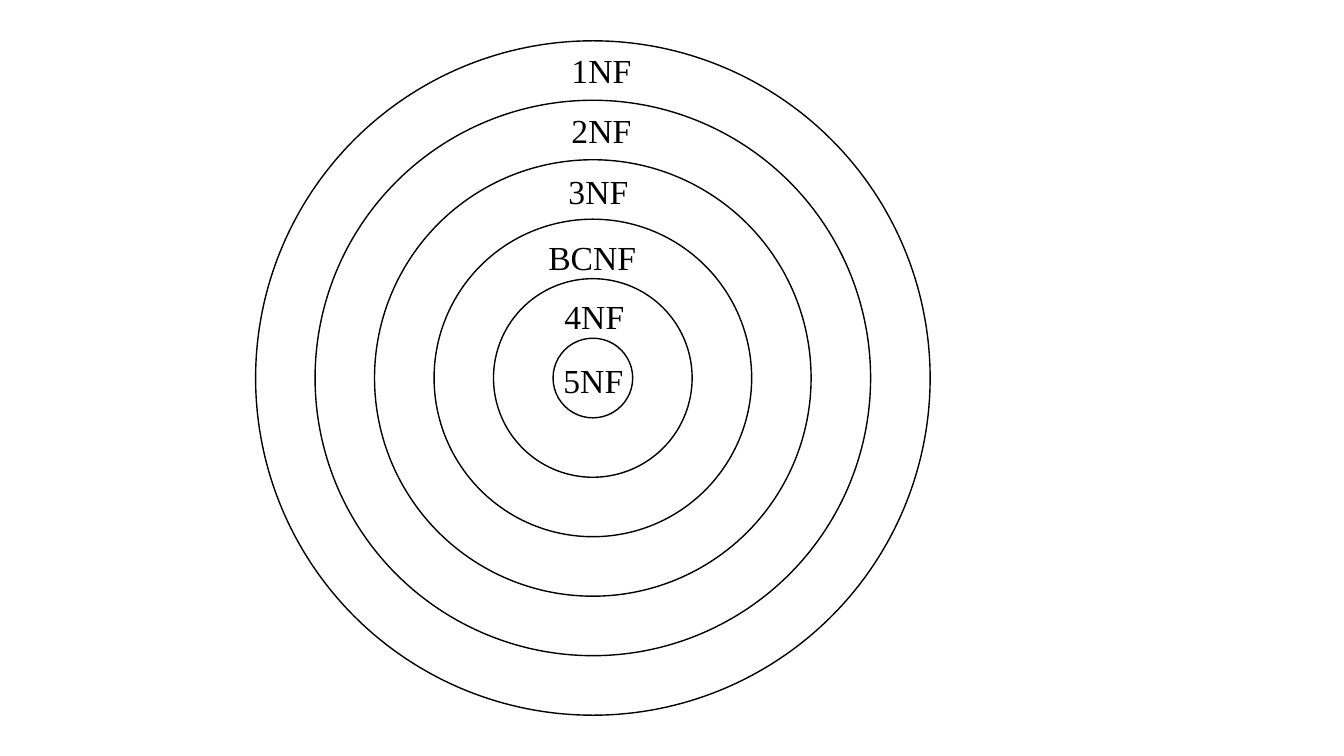
"""Build a slide of nested circles showing the database normal forms."""
from pptx import Presentation
from pptx.dml.color import RGBColor
from pptx.enum.shapes import MSO_SHAPE as Preset
from pptx.enum.text import MSO_AUTO_SIZE as AutoSize
from pptx.util import Inches, Pt

NORMAL_FORMS = [
    ("1NF", 5.57, 0.45),
    ("2NF", 5.57, 1.04),
    ("3NF", 5.54, 1.65),
    ("BCNF", 5.34, 2.3),
    ("4NF", 5.5, 2.89),
    ("5NF", 5.49, 3.52),
]
CENTER_X, CENTER_Y = 5.88, 3.75
OUTER_DIAMETER, DIAMETER_STEP = 6.69, 1.18
LABEL_WIDTH, LABEL_HEIGHT = 1.14, 0.5
INK = "000000"


def color(value):
    return RGBColor.from_string(value)


def add_ring(page, diameter, line=INK, weight=1):
    left, top = CENTER_X - diameter / 2, CENTER_Y - diameter / 2
    ring = page.shapes.add_shape(
        Preset.OVAL, Inches(left), Inches(top), Inches(diameter), Inches(diameter))
    ring.shadow.inherit = False
    ring.fill.background()
    ring.line.color.rgb = color(line)
    ring.line.width = Pt(weight)


def add_label(page, text, left, top, size=24, font="Times New Roman", ink=INK):
    box = page.shapes.add_textbox(
        Inches(left), Inches(top), Inches(LABEL_WIDTH), Inches(LABEL_HEIGHT))
    frame = box.text_frame
    frame.word_wrap = True
    frame.auto_size = AutoSize.SHAPE_TO_FIT_TEXT
    span = frame.paragraphs[0].add_run()
    span.text = text
    span.font.size = Pt(size)
    span.font.name = font
    span.font.color.rgb = color(ink)


deck = Presentation()
deck.slide_width, deck.slide_height = Inches(13.33), Inches(7.5)
page = deck.slides.add_slide(deck.slide_layouts[6])

for level in range(len(NORMAL_FORMS)):
    add_ring(page, OUTER_DIAMETER - level * DIAMETER_STEP)
for name, left, top in NORMAL_FORMS:
    add_label(page, name, left, top)

deck.save("out.pptx")
